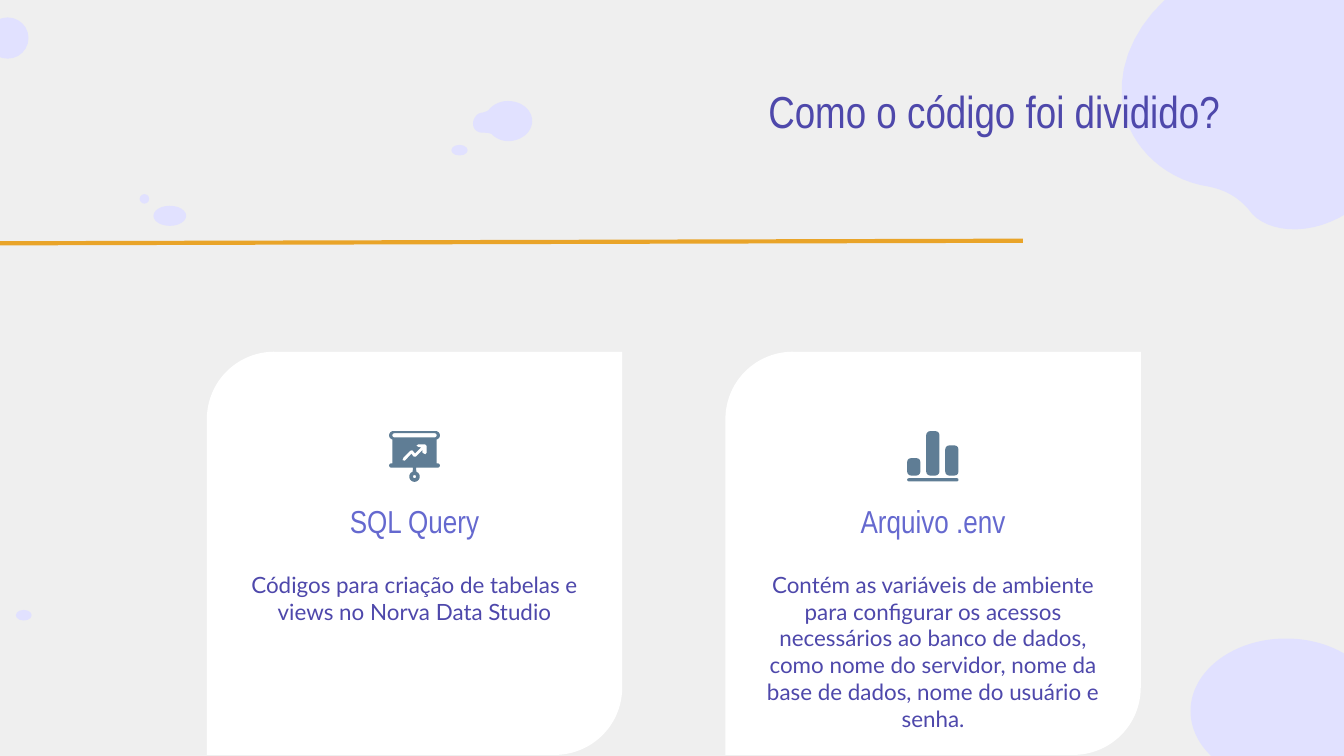
"""Build a slide with a title over two cards that explain how the code is split."""
from math import cos, radians, sin

from lxml import etree
from pptx import Presentation
from pptx.dml.color import RGBColor
from pptx.enum import shapes, text
from pptx.oxml.ns import qn
from pptx.util import Cm, Pt

GREY = RGBColor(0xEF, 0xEF, 0xEF)
LILAC = RGBColor(0xE1, 0xE1, 0xFF)
WHITE = RGBColor(0xFF, 0xFF, 0xFF)
INDIGO = RGBColor(0x4E, 0x48, 0xAB)
VIOLET = RGBColor(0x65, 0x69, 0xCF)
STEEL = RGBColor(0x5F, 0x7D, 0x95)
AMBER = RGBColor(0xE9, 0xA4, 0x29)
HEAD, BODY = "Arial Narrow", "Lato"
FORM = shapes.MSO_SHAPE
ALIGN, ANCHOR = text.PP_ALIGN, text.MSO_ANCHOR

DOTS = [
    (2.9, 3.89, 0.62, 0.38), (2.64, 3.67, 0.18, 0.18),
    (8.53, 2.74, 0.31, 0.2), (-0.25, 0.33, 0.79, 0.78),
    (22.5, 12.07, 3.61, 2.74), (0.3, 11.53, 0.3, 0.2),
]
DROP = [
    (9.6, 1.91), (9.86, 1.91), (10.06, 2.08), (10.06, 2.29),
    (10.06, 2.49), (9.86, 2.67), (9.6, 2.67),
    (9.5, 2.67), (9.37, 2.62), (9.3, 2.54),
    (9.25, 2.51), (9.19, 2.51), (9.12, 2.51),
    (9.02, 2.51), (8.94, 2.44), (8.94, 2.34),
    (8.94, 2.24), (9.02, 2.13), (9.12, 2.13),
    (9.17, 2.11), (9.22, 2.11), (9.25, 2.06),
    (9.35, 1.96), (9.47, 1.91), (9.6, 1.91),
]
CLOUD = [
    (21.34, 2.41), (20.88, 1.35), (21.56, 0.03), (22.83, -0.53),
    (24.13, -1.07), (25.55, -0.61), (25.98, 0.43),
    (26.21, 0.94), (26.14, 1.52), (25.91, 2.06),
    (25.78, 2.29), (25.83, 2.54), (25.91, 2.77),
    (25.93, 2.82), (25.96, 2.84), (25.98, 2.9),
    (26.16, 3.33), (25.78, 3.94), (25.15, 4.19),
    (24.49, 4.47), (23.83, 4.32), (23.6, 3.96),
    (23.42, 3.76), (23.22, 3.61), (22.86, 3.53),
    (22.15, 3.43), (21.59, 2.97), (21.34, 2.41),
]
ARROW = [
    (0.2, 0.25), (0.23, 0.28), (0.23, 0.41), (0.2, 0.44), (0.15, 0.41),
    (0.15, 0.36), (0.03, 0.48), (-0.02, 0.48), (-0.06, 0.43), (-0.18, 0.56),
    (-0.23, 0.55), (-0.21, 0.5), (-0.08, 0.37), (-0.04, 0.36), (0.01, 0.42),
    (0.12, 0.31), (0.07, 0.3), (0.03, 0.27), (0.07, 0.25),
]
CARDS = [
    ("SQL Query", "Códigos para criação de tabelas e views no Norva Data Studio"),
    ("Arquivo .env",
     "Contém as variáveis de ambiente para configurar os acessos "
     "necessários ao banco de dados, como nome do servidor, nome da "
     "base de dados, nome do usuário e senha."),
]
LEFT, TOP, WIDE, HIGH, STEP = 3.91, 6.65, 7.85, 7.62, 9.8
ICON = 8.15


def bend(pts, count=12):
    """Return points along a chain of cubic curves."""
    out = [pts[0]]
    for i in range(0, len(pts) - 1, 3):
        for k in range(1, count + 1):
            t = k / count
            s = 1 - t
            mix = (s ** 3, 3 * s * s * t, 3 * s * t * t, t ** 3)
            out.append(tuple(sum(m * p[a] for m, p in zip(mix, pts[i:i + 4]))
                             for a in (0, 1)))
    return out


def arc(x, y, size, start, end):
    """Return points on an arc, with angles in degrees, clockwise from the right."""
    turns = [radians(start + (end - start) * k / 12) for k in range(13)]
    return [(x + size * cos(a), y + size * sin(a)) for a in turns]


def paint(shape, color):
    """Give a shape a flat fill with neither line nor shadow."""
    shape.fill.solid()
    shape.fill.fore_color.rgb = color
    shape.line.fill.background()
    shape.shadow.inherit = False


def preset(slide, form, box, color, *bends):
    """Add a preset shape with its adjustments."""
    shape = slide.shapes.add_shape(form, *map(Cm, box))
    for i, value in enumerate(bends):
        shape.adjustments[i] = value
    paint(shape, color)


def trace(slide, rings, color, x=0, y=0):
    """Add one freeform made of closed outlines, moved by x and y."""
    pens = [[(Cm(x + a), Cm(y + b)) for a, b in ring] for ring in rings]
    form = slide.shapes.build_freeform(*pens[0][0])
    for i, pen in enumerate(pens):
        if i:
            form.move_to(*pen[0])
        form.add_line_segments(pen[1:], close=True)
    paint(form.convert_to_shape(), color)


def write(slide, box, words, font, size, color, align, anchor):
    """Add a wrapped text box with a single run."""
    frame = slide.shapes.add_textbox(*map(Cm, box)).text_frame
    frame.word_wrap = True
    frame.vertical_anchor = anchor
    frame.margin_left = frame.margin_right = Cm(0.25)
    frame.margin_top = frame.margin_bottom = Cm(0.25)
    para = frame.paragraphs[0]
    para.alignment = align
    run = para.add_run()
    run.text = words
    run.font.name = font
    run.font.size = Pt(size)
    run.font.color.rgb = color


def rule(slide, start, end):
    """Add the amber line below the title."""
    line = slide.shapes.add_connector(
        shapes.MSO_CONNECTOR.STRAIGHT, *map(Cm, start + end))
    line.line.color.rgb = AMBER
    line.line.width = Pt(2.25)
    etree.SubElement(line._element.spPr, qn("a:effectLst"))


def easel(slide, mid):
    """Draw the board icon, with its slot, arrow and ring cut out."""
    board = (arc(0.4, 0.08, 0.08, -90, 75) + [(0.42, 0.17), (0.42, 0.61)]
             + arc(0.44, 0.65, 0.04, -90, 90) + [(0.03, 0.69)]
             + arc(0, 0.86, 0.1, -70, 250) + [(-0.03, 0.69)]
             + arc(-0.44, 0.65, 0.04, 90, 270)
             + [(-0.42, 0.61), (-0.42, 0.17)] + arc(-0.4, 0.08, 0.08, 105, 270))
    slot = arc(0.38, 0.08, 0.04, -90, 90) + arc(-0.38, 0.08, 0.04, 90, 270)
    trace(slide, [board, slot, ARROW, arc(0, 0.86, 0.03, 0, 360)],
          STEEL, mid, ICON)


def chart(slide, mid):
    """Draw the icon of three bars on a base."""
    left, foot = mid - 0.49, ICON + 0.84
    preset(slide, FORM.ROUNDED_RECTANGLE, (left, foot + 0.05, 0.97, 0.06), STEEL, 0.5)
    for i, tall in enumerate((0.33, 0.84, 0.57)):
        box = (left + 0.36 * i, foot - tall, 0.25, tall)
        preset(slide, FORM.ROUNDED_RECTANGLE, box, STEEL, 0.3)


def card(slide, left, name, words, icon):
    """Add a card with its icon, name and text."""
    preset(slide, FORM.ROUND_2_DIAG_RECTANGLE, (left, TOP, WIDE, HIGH),
           WHITE, 0.167, 0)
    inner, span = left + 0.24, WIDE - 0.48
    write(slide, (inner, 10.54, span, 3.1), words, BODY, 12, INDIGO,
          ALIGN.CENTER, ANCHOR.TOP)
    write(slide, (inner, 8.66, span, 1.8), name, HEAD, 17, VIOLET,
          ALIGN.CENTER, ANCHOR.BOTTOM)
    icon(slide, left + WIDE / 2)


def main():
    """Build and save the slide."""
    deck = Presentation()
    deck.slide_width, deck.slide_height = Cm(25.4), Cm(14.29)
    slide = deck.slides.add_slide(deck.slide_layouts[6])
    slide.background.fill.solid()
    slide.background.fill.fore_color.rgb = GREY
    for dot in DOTS:
        preset(slide, FORM.OVAL, dot, LILAC)
    for blob in (DROP, CLOUD):
        trace(slide, [bend(blob)], LILAC)
    write(slide, (11.18, 0.79, 12.12, 2.62), "Como o código foi dividido?",
          HEAD, 24, INDIGO, ALIGN.RIGHT, ANCHOR.MIDDLE)
    for i, ((name, words), icon) in enumerate(zip(CARDS, (easel, chart))):
        card(slide, LEFT + STEP * i, name, words, icon)
    rule(slide, (0, 4.6), (19.33, 4.55))
    deck.save("out.pptx")


if __name__ == "__main__":
    main()
